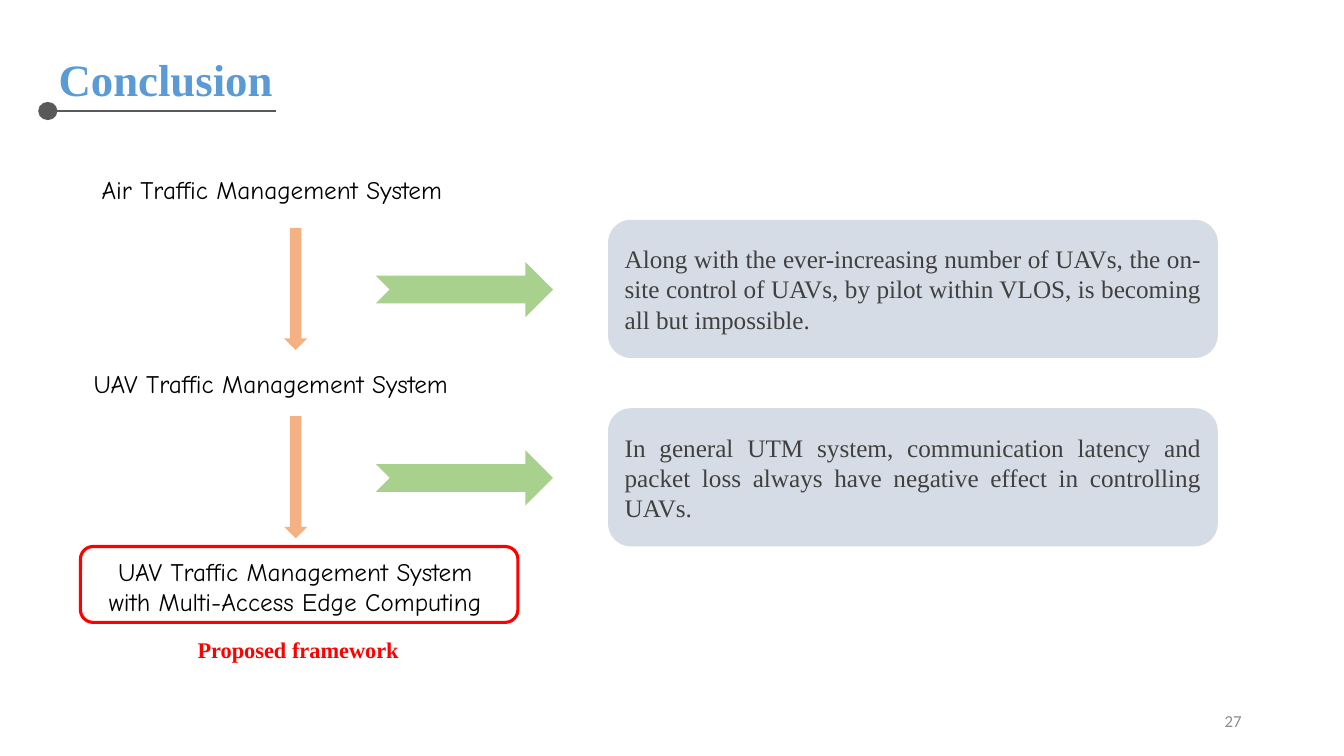
from lxml import etree
from pptx import Presentation
from pptx import util as u
from pptx.dml.color import RGBColor
from pptx.enum import shapes, text
from pptx.oxml.ns import qn

Pt = u.Pt
SHAPE = shapes.MSO_SHAPE
ALIGN = text.PP_ALIGN
SERIF, HAND = "Times New Roman", "Comic Neue"
GRAY, RED = "595959", "FF0000"
ROW_STEP = 134.6  # distance between the two steps of the flow

STAGE = {"size": Pt(18), "name": HAND}
REASON = {"size": Pt(18), "name": SERIF}
TITLE = {"size": Pt(32), "name": SERIF, "bold": True}
CAPTION = {"size": Pt(16), "name": SERIF, "bold": True}
NUMBER = {"size": Pt(12), "name": "Calibri"}

REASONS = [
    "Along with the ever-increasing number of UAVs, the on-site control of UAVs, "
    "by pilot within VLOS, is becoming all but impossible.",
    "In general UTM system, communication latency and packet loss always have "
    "negative effect in controlling UAVs.",
]


def color(hex_value):
    return RGBColor.from_string(hex_value)


def write(shape, lines, font_format, font_color, align):
    frame = shape.text_frame
    for index, line in enumerate(lines):
        paragraph = frame.add_paragraph() if index else frame.paragraphs[0]
        paragraph.alignment = align
        run = paragraph.add_run()
        run.text = line
        for name, value in font_format.items():
            setattr(run.font, name, value)
        run.font.color.rgb = color(font_color)


def add_text(slide, box, lines, font_format, font_color="000000",
             align=ALIGN.LEFT, fixed=False):
    shape = slide.shapes.add_textbox(*map(Pt, box))
    frame = shape.text_frame
    frame.word_wrap = fixed
    if fixed:
        frame.vertical_anchor = text.MSO_ANCHOR.MIDDLE
    else:
        frame.auto_size = text.MSO_AUTO_SIZE.SHAPE_TO_FIT_TEXT
    write(shape, lines, font_format, font_color, align)


def add_shape(slide, kind, box, fill=None, line=None):
    shape = slide.shapes.add_shape(kind, *map(Pt, box))
    shape.shadow.inherit = False
    if fill:
        shape.fill.solid()
        shape.fill.fore_color.rgb = color(fill)
    else:
        shape.fill.background()
    if line:
        shape.line.color.rgb = color(line)
        shape.line.width = Pt(2.25)
    else:
        shape.line.fill.background()
    return shape


def add_line(slide, start, end, line_color, width):
    line = slide.shapes.add_connector(
        shapes.MSO_CONNECTOR.STRAIGHT, *map(Pt, (*start, *end)))
    line.line.color.rgb = color(line_color)
    line.line.width = Pt(width)
    etree.SubElement(line._element.spPr, qn("a:effectLst"))


def add_step(slide, offset, reason):
    add_shape(slide, SHAPE.DOWN_ARROW, (203, 162.7 + offset, 16.5, 87.3), "F4B183")
    add_shape(slide, SHAPE.NOTCHED_RIGHT_ARROW,
              (268.5, 187 + offset, 126.5, 39.6), "A9D18E")
    card = add_shape(slide, SHAPE.ROUNDED_RECTANGLE,
                     (434.3, 157 + offset, 435.6, 98.7), "D6DCE5")
    card.text_frame.word_wrap = True
    card.text_frame.vertical_anchor = text.MSO_ANCHOR.MIDDLE
    write(card, [reason], REASON, "404040", ALIGN.JUSTIFY)


def main():
    presentation = Presentation()
    presentation.slide_width, presentation.slide_height = Pt(960), Pt(540)
    slide = presentation.slides.add_slide(presentation.slide_layouts[6])

    # Slide number
    add_text(slide, (678, 500.5, 216, 28.75), ["27"], NUMBER, "8C8C8C",
             ALIGN.RIGHT, fixed=True)

    # Title with its dotted underline
    add_shape(slide, SHAPE.OVAL, (27.3, 72.8, 13.7, 13), GRAY)
    add_line(slide, (41, 79.3), (197.3, 79.3), GRAY, 2)
    add_text(slide, (33.8, 33.1, 169.2, 46), ["Conclusion"], TITLE, "5B9BD5",
             ALIGN.CENTER)

    # Stages of the flow
    add_text(slide, (65.5, 121, 291, 29), ["Air Traffic Management System"], STAGE)
    add_text(slide, (59.8, 259.5, 302.4, 29), ["UAV Traffic Management System"], STAGE)
    add_text(slide, (57.5, 394, 306.7, 51),
             ["UAV Traffic Management System", "with Multi-Access Edge Computing"],
             STAGE, align=ALIGN.CENTER)

    # Arrows between stages and the reason for each step
    for row, reason in enumerate(REASONS):
        add_step(slide, row * ROW_STEP, reason)

    # Frame around the proposed stage
    add_shape(slide, SHAPE.ROUNDED_RECTANGLE, (57.5, 390.4, 312.5, 54.2), line=RED)
    add_text(slide, (134, 450.7, 159.8, 26.6), ["Proposed framework"], CAPTION, RED)

    presentation.save("out.pptx")


if __name__ == "__main__":
    main()
